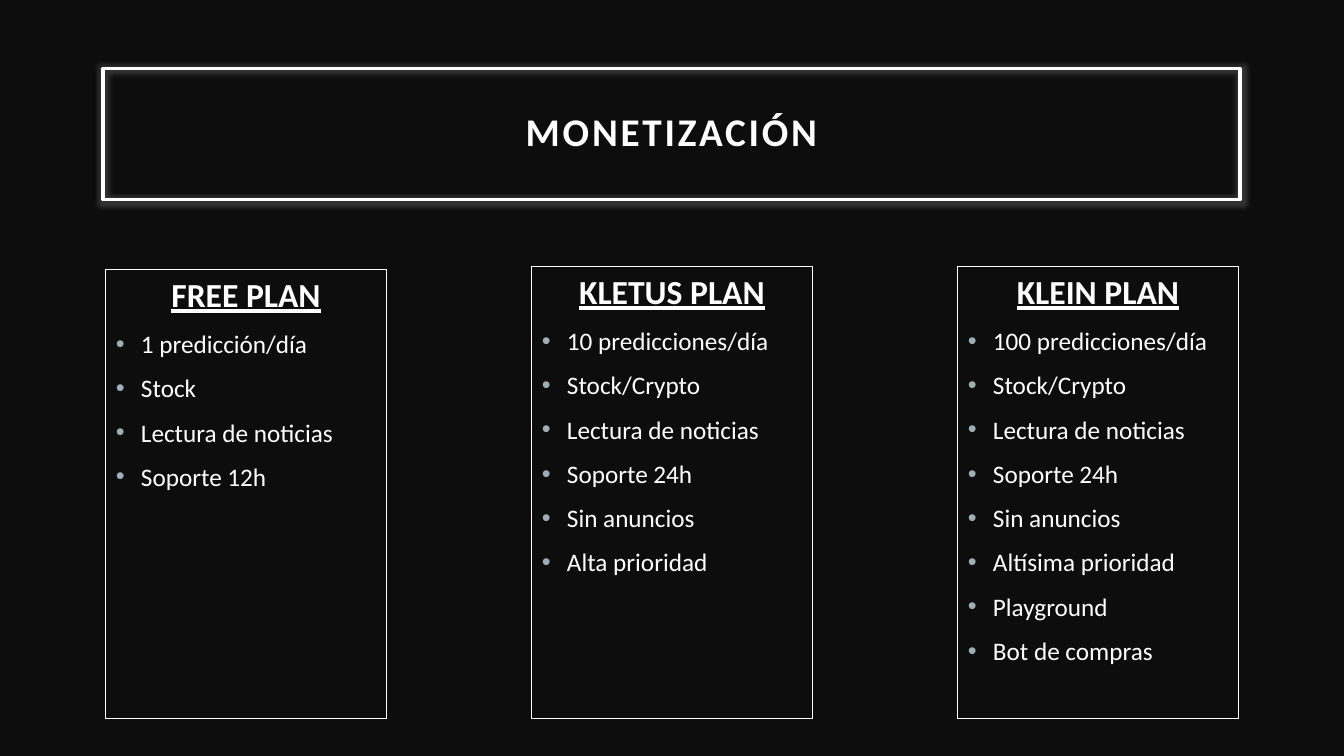
"""Build the slide that compares three subscription plans."""
from lxml import etree
from pptx import Presentation
from pptx.dml.color import RGBColor
from pptx.enum.text import MSO_ANCHOR, PP_ALIGN
from pptx.oxml.ns import qn
from pptx.util import Inches, Pt

MIDDLE = MSO_ANCHOR.MIDDLE
CENTER = PP_ALIGN.CENTER
LEFT = PP_ALIGN.LEFT
HUES = {"back": "0D0D0D", "text": "FFFFFF", "dot": "9BAFB5"}
HEAD = {"size": Pt(24), "bold": True, "underline": True}
ITEM = {"size": Pt(18), "bold": False, "underline": False}
PLANS = [
    ("FREE PLAN", 2.67,
     ["1 predicción/día", "Stock", "Lectura de noticias", "Soporte 12h"]),
    ("KLETUS PLAN", 2.64,
     ["10 predicciones/día", "Stock/Crypto", "Lectura de noticias",
      "Soporte 24h", "Sin anuncios", "Alta prioridad"]),
    ("KLEIN PLAN", 2.64,
     ["100 predicciones/día", "Stock/Crypto", "Lectura de noticias",
      "Soporte 24h", "Sin anuncios", "Altísima prioridad", "Playground",
      "Bot de compras"]),
]


def style(font, looks):
    font.name = "Calibri"
    font.color.rgb = RGBColor.from_string(HUES["text"])
    for key, value in looks.items():
        setattr(font, key, value)


def frame(shape, width):
    shape.fill.background()
    shape.line.color.rgb = RGBColor.from_string(HUES["text"])
    shape.line.width = Pt(width)


deck = Presentation()
deck.slide_width = Inches(13.33)
deck.slide_height = Inches(7.5)
slide = deck.slides.add_slide(deck.slide_layouts[5])
slide.background.fill.solid()
slide.background.fill.fore_color.rgb = RGBColor.from_string(HUES["back"])

title = slide.shapes.title
title.left, title.top = Inches(1.02), Inches(0.68)
title.width, title.height = Inches(11.28), Inches(1.3)
frame(title, 2.5)
effects = etree.SubElement(title.element.spPr, qn("a:effectLst"))
glow = etree.SubElement(effects, qn("a:glow"), rad=str(Inches(0.1)))
shade = etree.SubElement(glow, qn("a:srgbClr"), val=HUES["text"])
etree.SubElement(shade, qn("a:alpha"), val="15000")

text = title.text_frame
text.text = "MONETIZACIÓN"
text.vertical_anchor = MIDDLE
for side in ("left", "top", "right", "bottom"):
    setattr(text, f"margin_{side}", Inches(0.2))
para = text.paragraphs[0]
para.alignment = CENTER
para.line_spacing = 0.9
run = para.runs[0]
style(run.font, {"size": Pt(28), "bold": True})
run.font._element.set("spc", "200")

for col, (name, top, items) in enumerate(PLANS):
    box = slide.shapes.add_textbox(
        Inches(1.05 + 4.225 * col), Inches(top),
        Inches(2.78), Inches(7.13 - top))
    frame(box, 0.75)
    text = box.text_frame
    text.word_wrap = True
    text.text = "\n".join([name] + items)
    for row, para in enumerate(text.paragraphs):
        para.space_before = Pt(10)
        para.alignment = LEFT if row else CENTER
        style(para.runs[0].font, ITEM if row else HEAD)
        if row:
            props = para._p.get_or_add_pPr()
            props.set("marL", str(Inches(0.25)))
            props.set("indent", str(Inches(-0.25)))
            tint = etree.SubElement(props, qn("a:buClr"))
            etree.SubElement(tint, qn("a:srgbClr"), val=HUES["dot"])
            etree.SubElement(props, qn("a:buFont"), typeface="Arial")
            etree.SubElement(props, qn("a:buChar"), char="•")

deck.save("out.pptx")
